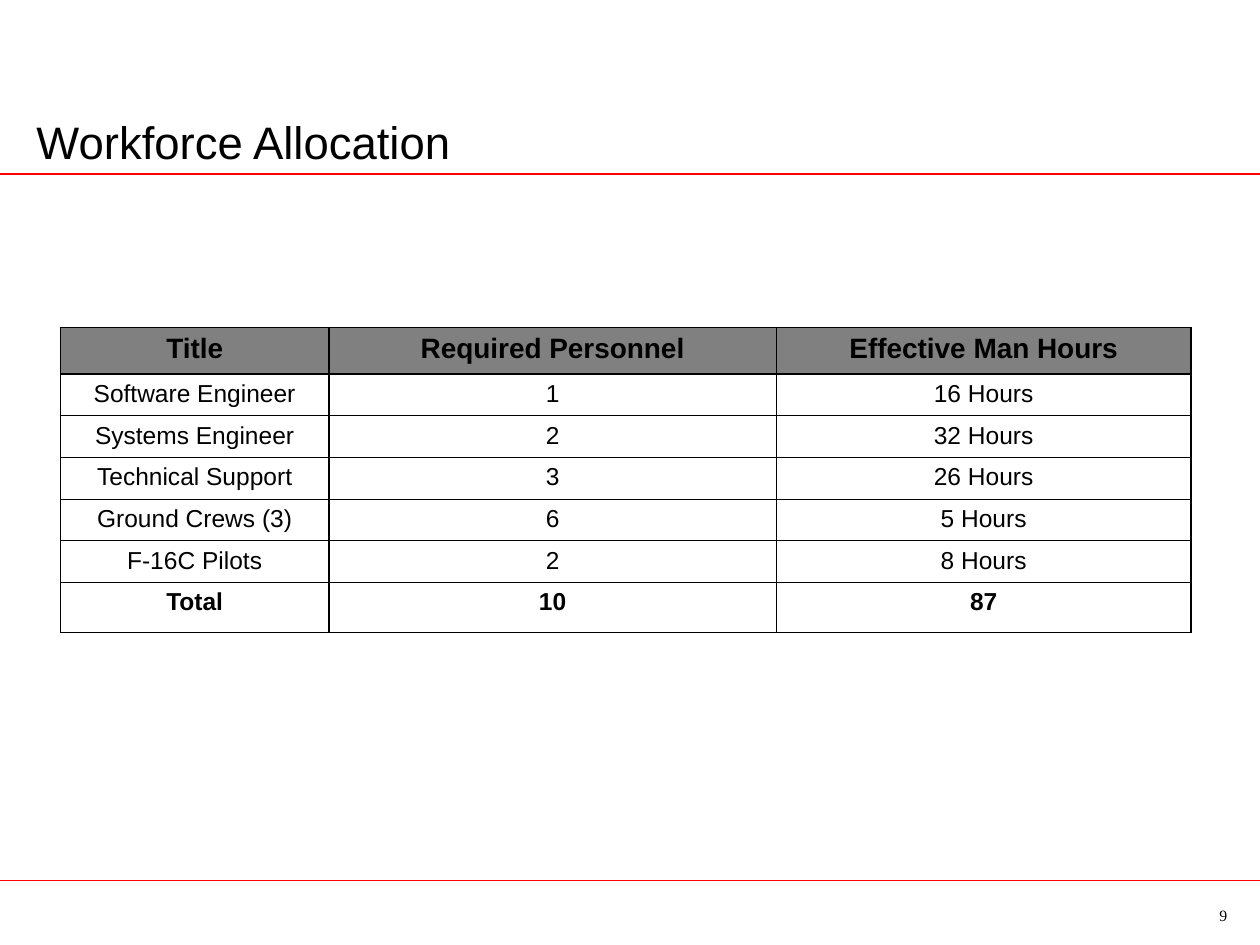
"""Build the Workforce Allocation slide."""
from dataclasses import dataclass

from pptx import Presentation
from pptx.dml.color import RGBColor as RGB
from pptx.enum.shapes import MSO_CONNECTOR as CONN
from pptx.enum.text import MSO_ANCHOR as ANCHOR, MSO_AUTO_SIZE as FIT, PP_ALIGN as ALIGN
from pptx.oxml.ns import qn
from pptx.util import Cm, Pt
from lxml.etree import SubElement


@dataclass(frozen=True)
class Theme:
    """Colours, fonts, type sizes and line widths."""
    ink: str = "000000"
    accent: str = "FF0000"
    head_fill: str = "808080"
    font: str = "Arial"
    number_font: str = "Times New Roman"
    title_size: int = 26
    head_size: int = 16
    cell_size: int = 14
    number_size: int = 9
    rule: float = 1
    heavy: float = 1.08
    thin: float = 0.45


class SlideBuilder:
    """Draw styled elements on the current slide."""

    def __init__(self, s, theme):
        self.s, self.theme = s, theme

    def set_text(self, tf, text, size, font=None, bold=False, align=ALIGN.LEFT):
        """Set one formatted paragraph in a text frame."""
        p = tf.paragraphs[0]
        p.text, p.alignment = text, align
        p.font.name, p.font.size, p.font.bold = font or self.theme.font, Pt(size), bold
        p.font.color.rgb = RGB.from_string(self.theme.ink)

    def title(self, text, left, top, width, height):
        """Place and fill the title placeholder."""
        sp = self.s.shapes.title
        sp.left, sp.top, sp.width, sp.height = Cm(left), Cm(top), Cm(width), Cm(height)
        tf = sp.text_frame
        tf.auto_size, tf.vertical_anchor = FIT.NONE, ANCHOR.BOTTOM
        self.set_text(tf, text, self.theme.title_size)

    def rule(self, y, width):
        """Draw a horizontal rule from the left edge."""
        line = self.s.shapes.add_connector(CONN.STRAIGHT, 0, Cm(y), Cm(width), Cm(y))
        line.line.color.rgb = RGB.from_string(self.theme.accent)
        line.line.width = Pt(self.theme.rule)
        SubElement(line._element.spPr, qn("a:effectLst"))

    def page_number(self, text, left, top, width, height):
        """Add the right-aligned page number."""
        sp = self.s.shapes.add_textbox(Cm(left), Cm(top), Cm(width), Cm(height))
        sp.text_frame.word_wrap = True
        self.set_text(sp.text_frame, text, self.theme.number_size,
                      self.theme.number_font, align=ALIGN.RIGHT)

    def border(self, cell, sides):
        """Set cell borders from a mapping of side to width."""
        tc_pr = cell._tc.get_or_add_tcPr()
        for i, (side, width) in enumerate(sides.items()):
            ln = tc_pr.makeelement(qn(f"a:ln{side}"), {"w": str(Pt(width))})
            fill = SubElement(ln, qn("a:solidFill"))
            SubElement(fill, qn("a:srgbClr"), val=self.theme.ink)
            tc_pr.insert(i, ln)

    def table(self, data, left, top, cols, rows):
        """Add a table with a shaded header and a bold total row."""
        t = self.theme
        last = len(rows) - 1
        table = self.s.shapes.add_table(len(rows), len(cols), Cm(left), Cm(top),
                                        Cm(sum(cols)), Cm(sum(rows))).table
        table.horz_banding = False
        for col, width in zip(table.columns, cols):
            col.width = Cm(width)
        for row, height in zip(table.rows, rows):
            row.height = Cm(height)
        x_edges = [t.heavy, t.heavy, t.thin, t.heavy]
        y_edges = [t.heavy if i in (0, 1, last, last + 1) else t.thin
                   for i in range(last + 2)]
        for r, values in enumerate(data):
            for c, text in enumerate(values):
                cell = table.cell(r, c)
                if r == 0:
                    cell.fill.solid()
                    cell.fill.fore_color.rgb = RGB.from_string(t.head_fill)
                else:
                    cell.fill.background()
                self.set_text(cell.text_frame, text, t.cell_size if r else t.head_size,
                              bold=r in (0, last), align=ALIGN.CENTER)
                self.border(cell, {"L": x_edges[c], "R": x_edges[c + 1],
                                   "T": y_edges[r], "B": y_edges[r + 1]})


WORKFORCE = [
    ("Title", "Required Personnel", "Effective Man Hours"),
    ("Software Engineer", "1", "16 Hours"),
    ("Systems Engineer", "2", "32 Hours"),
    ("Technical Support", "3", "26 Hours"),
    ("Ground Crews (3)", "6", "5 Hours"),
    ("F-16C Pilots", "2", "8 Hours"),
    ("Total", "10", "87"),
]


def main():
    """Build and save the presentation."""
    prs = Presentation()
    prs.slide_width, prs.slide_height = Cm(25.4), Cm(19.05)
    slide = SlideBuilder(prs.slides.add_slide(prs.slide_layouts[5]), Theme())
    for y in (3.51, 17.75):
        slide.rule(y, 25.4)
    slide.title("Workforce Allocation", 0.48, 2, 23.95, 1.52)
    slide.table(WORKFORCE, 1.22, 6.6, [5.41, 9.02, 8.36], [0.94] + [0.84] * 5 + [1.01])
    slide.page_number("9", 19.71, 18.14, 5.28, 0.56)
    prs.save("out.pptx")


if __name__ == "__main__":
    main()
